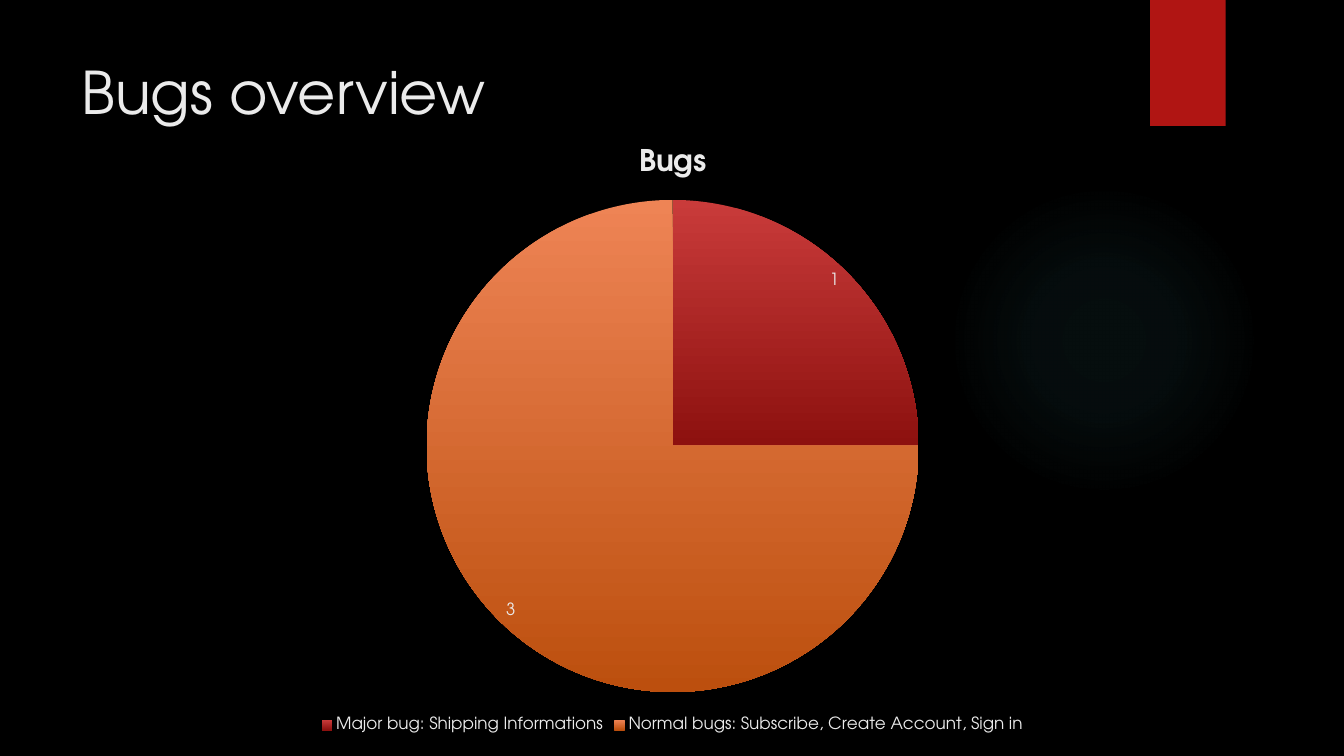
from lxml import etree
from pptx import Presentation
from pptx.chart.data import CategoryChartData
from pptx.dml.color import RGBColor
from pptx.enum.chart import XL_CHART_TYPE, XL_LABEL_POSITION, XL_LEGEND_POSITION
from pptx.enum.shapes import MSO_SHAPE
from pptx.enum.text import MSO_ANCHOR, PP_ALIGN
from pptx.oxml import parse_xml
from pptx.oxml.ns import qn
from pptx.util import Pt

PIE = XL_CHART_TYPE.PIE
BEST_FIT = XL_LABEL_POSITION.BEST_FIT
BOTTOM = XL_LEGEND_POSITION.BOTTOM
OVAL, RECTANGLE = MSO_SHAPE.OVAL, MSO_SHAPE.RECTANGLE
TOP, LEFT = MSO_ANCHOR.TOP, PP_ALIGN.LEFT

FONT = "TeX Gyre Adventor"
BLACK = RGBColor(0x00, 0x00, 0x00)
LIGHT = RGBColor(0xEB, 0xEB, 0xEB)
RED = RGBColor(0xB0, 0x15, 0x13)
GLOW = RGBColor(0x50, 0xB9, 0xC1)
SLICES = [
    ("Major bug: Shipping Informations", 1,
     RGBColor(0xC9, 0x3B, 0x3A), RGBColor(0x8D, 0x11, 0x0F)),
    ("Normal bugs: Subscribe, Create Account, Sign in", 3,
     RGBColor(0xEE, 0x84, 0x55), RGBColor(0xBC, 0x4F, 0x0E)),
]
A_NS = "http://schemas.openxmlformats.org/drawingml/2006/main"


def style_font(font, size, color=LIGHT, bold=False):
    font.name, font.size, font.bold = FONT, Pt(size), bold
    font.color.rgb = color


def set_text(tf, text, size, color=LIGHT, bold=False, align=None):
    p = tf.paragraphs[0]
    p.alignment = align
    r = p.add_run()
    r.text = text
    style_font(r.font, size, color, bold)


def add_plain_shape(slide, kind, left, top, width, height, color):
    sp = slide.shapes.add_shape(kind, Pt(left), Pt(top), Pt(width), Pt(height))
    sp.shadow.inherit = False
    sp.fill.solid()
    sp.fill.fore_color.rgb = color
    sp.line.fill.background()
    return sp


def add_glow(slide):
    sp = add_plain_shape(slide, OVAL, 677.5, 131.8, 221.8, 221.8, GLOW)
    stops = "".join(
        f'<a:gs pos="{pos}000"><a:srgbClr val="{GLOW}">'
        f'<a:alpha val="{alpha}000"/></a:srgbClr></a:gs>'
        for pos, alpha in ((0, 7), (36, 6), (69, 0)))
    gradient = parse_xml(
        f'<a:gradFill xmlns:a="{A_NS}"><a:gsLst>{stops}</a:gsLst>'
        '<a:path path="circle"><a:fillToRect l="50000" t="50000" '
        'r="50000" b="50000"/></a:path></a:gradFill>')
    sp_pr = sp.fill._xPr
    sp_pr.replace(sp_pr.find(qn("a:solidFill")), gradient)


def add_ribbon(slide):
    sp = add_plain_shape(slide, RECTANGLE, 821.5, 0, 54, 90, RED)
    effects = sp.fill._xPr.find(qn("a:effectLst"))
    shadow = etree.SubElement(
        effects, qn("a:outerShdw"), blurRad=str(Pt(3)), dist=str(Pt(2)),
        dir="5400000", rotWithShape="0")
    color = etree.SubElement(shadow, qn("a:srgbClr"), val=str(BLACK))
    etree.SubElement(color, qn("a:alpha"), val="45000")


def add_title(slide, text):
    sp = slide.shapes.title
    sp.left, sp.top, sp.width, sp.height = Pt(51), Pt(36), Pt(741), Pt(110)
    sp.text_frame.vertical_anchor = TOP
    set_text(sp.text_frame, text, 42, align=LEFT)


def add_pie(slide, name):
    data = CategoryChartData()
    data.categories = [label for label, *_ in SLICES]
    data.add_series(name, [value for _, value, *_ in SLICES])
    chart = slide.shapes.add_chart(
        PIE, Pt(59), Pt(88), Pt(843), Pt(438.5), data).chart
    style_font(chart.font, 12)

    # Title and legend
    chart.has_title = True
    set_text(chart.chart_title.text_frame, name, 21.3, bold=True)
    chart.chart_title.include_in_layout = False
    chart.has_legend = True
    chart.legend.position = BOTTOM
    chart.legend.include_in_layout = False
    style_font(chart.legend.font, 12)

    # Slices shaded from top to bottom
    plot = chart.plots[0]
    plot.vary_by_categories = True
    for i, (_, _, *shades) in enumerate(SLICES):
        point_format = plot.series[0].points[i].format
        point_format.line.fill.background()
        fill = point_format.fill
        fill.gradient()
        fill.gradient_angle = 270
        for stop, position, shade in zip(fill.gradient_stops, (0, 1), shades):
            stop.position = position
            stop.color.rgb = shade

    # Value labels
    labels = plot.series[0].data_labels
    labels.show_value = True
    labels.position = BEST_FIT
    style_font(labels.font, 12)


def main():
    prs = Presentation()
    prs.slide_width, prs.slide_height = Pt(960), Pt(540)
    slide = prs.slides.add_slide(prs.slide_layouts[5])
    slide.background.fill.solid()
    slide.background.fill.fore_color.rgb = BLACK

    add_glow(slide)
    add_ribbon(slide)
    add_title(slide, "Bugs overview")
    add_pie(slide, "Bugs")
    prs.save("out.pptx")


if __name__ == "__main__":
    main()
